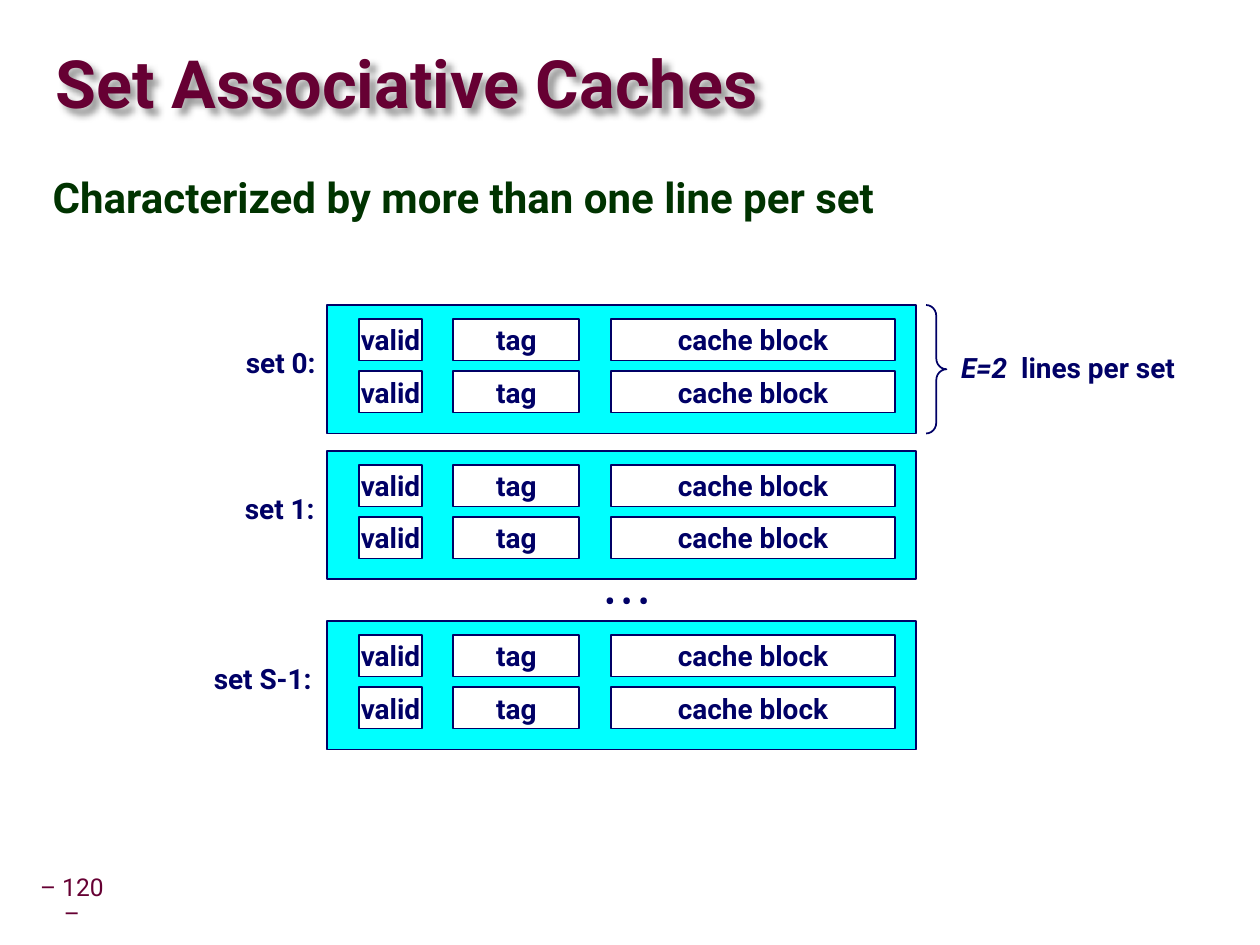
import dataclasses

import pptx
import pptx.dml.color
import pptx.enum.shapes
import pptx.enum.text
import pptx.oxml
import pptx.oxml.ns
import pptx.util

Cm = pptx.util.Cm
Pt = pptx.util.Pt
Align = pptx.enum.text.PP_ALIGN
Anchor = pptx.enum.text.MSO_ANCHOR
Preset = pptx.enum.shapes.MSO_SHAPE


@dataclasses.dataclass(frozen=True)
class Theme:
    font: str = "Roboto"
    wine: str = "660033"
    green: str = "003300"
    navy: str = "000066"
    cyan: str = "00FFFF"
    white: str = "FFFFFF"
    title_size: int = 38
    body_size: int = 24
    label_size: int = 16
    number_size: int = 14
    line_width: int = 1


theme = Theme()


def write(box, spans, size, color, bold=True, align=Align.CENTER,
          anchor=Anchor.MIDDLE, wrap=False, spacing=1.0, insets=(0.25, 0.13)):
    """Fill a shape with one paragraph of (text, italic) spans."""
    frame = box.text_frame
    across, down = insets
    settings = {
        "word_wrap": wrap, "vertical_anchor": anchor,
        "auto_size": pptx.enum.text.MSO_AUTO_SIZE.NONE,
        "margin_left": Cm(across), "margin_right": Cm(across),
        "margin_top": Cm(down), "margin_bottom": Cm(down),
    }
    for name, value in settings.items():
        setattr(frame, name, value)
    para = frame.paragraphs[0]
    para.alignment = align
    para.line_spacing = spacing
    para.space_before = Pt(0)
    for text, italic in spans:
        span = para.add_run()
        span.text = text
        look = {"name": theme.font, "size": Pt(size), "bold": bold, "italic": italic}
        for name, value in look.items():
            setattr(span.font, name, value)
        span.font.color.rgb = pptx.dml.color.RGBColor.from_string(color)
    return para


def draw(preset, left, top, width, height, fill=None):
    """Add an outlined preset shape, unfilled when no fill is given."""
    shape = page.shapes.add_shape(preset, Cm(left), Cm(top), Cm(width), Cm(height))
    shape.shadow.inherit = False
    if fill:
        shape.fill.solid()
        shape.fill.fore_color.rgb = pptx.dml.color.RGBColor.from_string(fill)
    else:
        shape.fill.background()
    shape.line.color.rgb = pptx.dml.color.RGBColor.from_string(theme.navy)
    shape.line.width = Pt(theme.line_width)
    return shape


deck = pptx.Presentation()
deck.slide_width, deck.slide_height = Cm(25.4), Cm(19.05)
page = deck.slides.add_slide(deck.slide_layouts[1])

# Title with a soft shadow
title = page.shapes.title
title.left, title.top, title.width, title.height = Cm(1.12), Cm(0.69), Cm(24.21), Cm(2.16)
write(title, [("Set Associative Caches", False)], theme.title_size, theme.wine,
      align=Align.LEFT, wrap=True, spacing=0.87, insets=(0, 0))
title.fill.background()
namespace = pptx.oxml.ns.nsdecls("a")
title.element.spPr.append(pptx.oxml.parse_xml(
    f'<a:effectLst {namespace}>'
    '<a:outerShdw blurRad="50800" dist="50800" dir="2700000" algn="tl">'
    '<a:srgbClr val="000000"><a:alpha val="40000"/></a:srgbClr>'
    '</a:outerShdw></a:effectLst>'))

# Statement, without a bullet
body = page.placeholders[1]
body.left, body.top, body.width, body.height = Cm(0.81), Cm(3.4), Cm(23.09), Cm(14.5)
para = write(body, [("Characterized by more than one line per set", False)],
             theme.body_size, theme.green, align=Align.LEFT, anchor=Anchor.TOP,
             wrap=True, spacing=0.95)
properties = para._p.get_or_add_pPr()
properties.set("marL", str(Cm(1.07)))
properties.set("indent", str(Cm(-1.07)))
properties.append(pptx.oxml.parse_xml(f"<a:buNone {namespace}/>"))

# Cache sets: each has a label and two lines of three fields
set_left, set_width, set_height = 6.6, 11.86, 2.59
lines_per_set, first_line, line_pitch, field_height = 2, 0.28, 1.05, 0.84
sets = [("set 0:", 6.15, 4.67, 1.98), ("set 1:", 9.09, 4.65, 1.98),
        ("set S-1:", 12.52, 4.01, 2.57)]
fields = [("valid", 7.24, 1.27), ("tag", 9.14, 2.54), ("cache block", 12.32, 5.72)]
for label, set_top, label_left, label_width in sets:
    draw(Preset.RECTANGLE, set_left, set_top, set_width, set_height, theme.cyan)
    box = page.shapes.add_textbox(Cm(label_left), Cm(set_top + 0.68),
                                  Cm(label_width), Cm(0.94))
    write(box, [(label, False)], theme.label_size, theme.navy)
    for line in range(lines_per_set):
        line_top = set_top + first_line + line * line_pitch
        for text, field_left, field_width in fields:
            field = draw(Preset.RECTANGLE, field_left, line_top,
                         field_width, field_height, theme.white)
            write(field, [(text, False)], theme.label_size, theme.navy)

# Sets left out between the second and the last
dots = page.shapes.add_textbox(Cm(11.68), Cm(11.68), Cm(1.91), Cm(0.84))
write(dots, [("• • •", False)], theme.label_size, theme.navy)

# Brace and its note
brace = draw(Preset.RIGHT_BRACE, 18.67, sets[0][1], 0.41, set_height)
brace.adjustments[0] = 0.54
brace.adjustments[1] = 0.5
note = page.shapes.add_textbox(Cm(18.95), Cm(6.93), Cm(5.16), Cm(0.94))
write(note, [("E=2 ", True), (" lines per set", False)],
      theme.label_size, theme.navy)

# Page number
number = page.shapes.add_textbox(Cm(0.61), Cm(17.78), Cm(1.68), Cm(0.79))
write(number, [("– 120 –", False)], theme.number_size, theme.wine, bold=False,
      wrap=True, spacing=0.9, insets=(0.13, 0.13))

deck.save("out.pptx")
